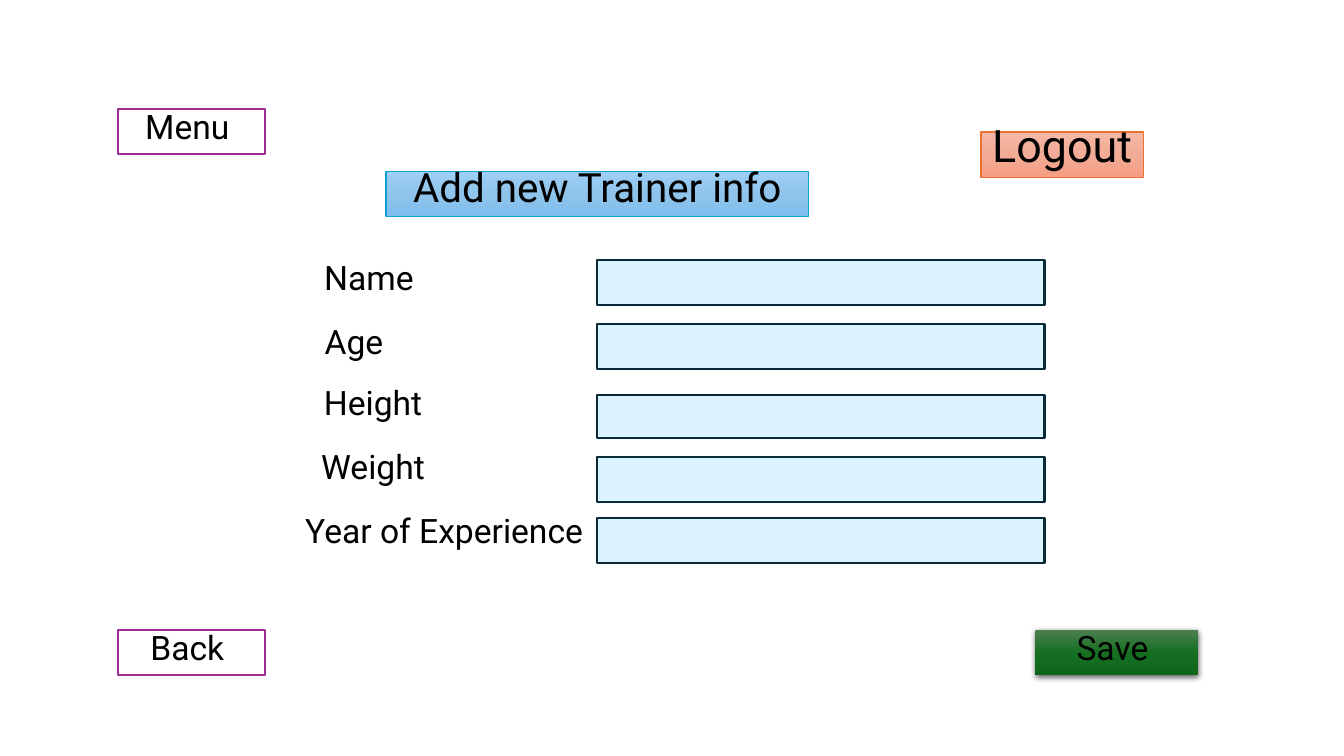
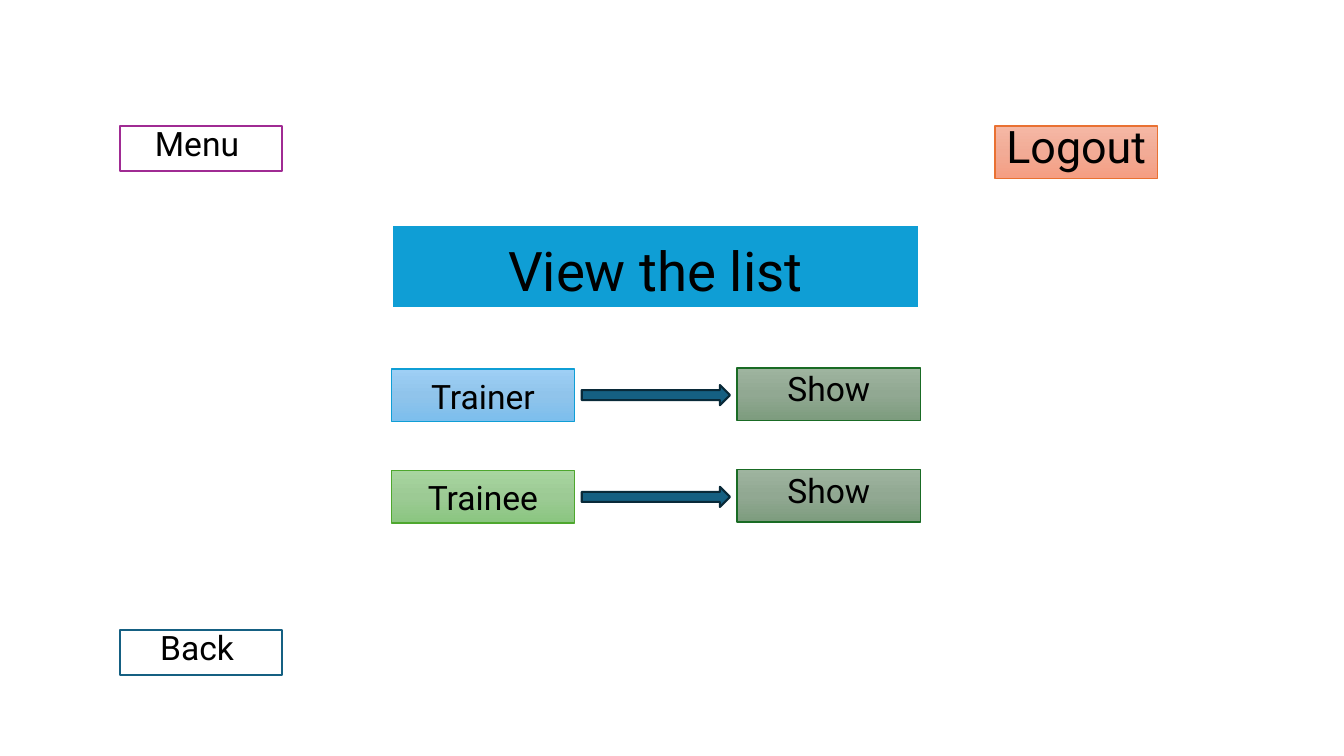
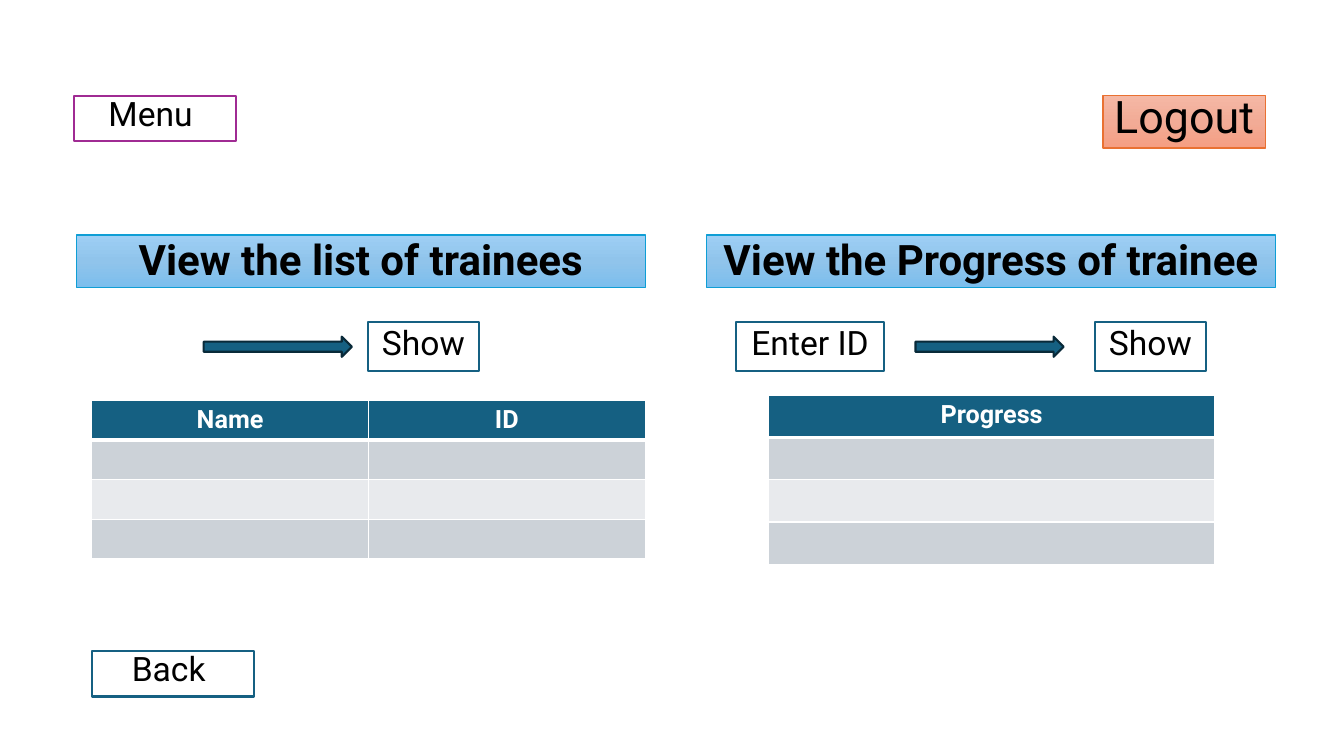
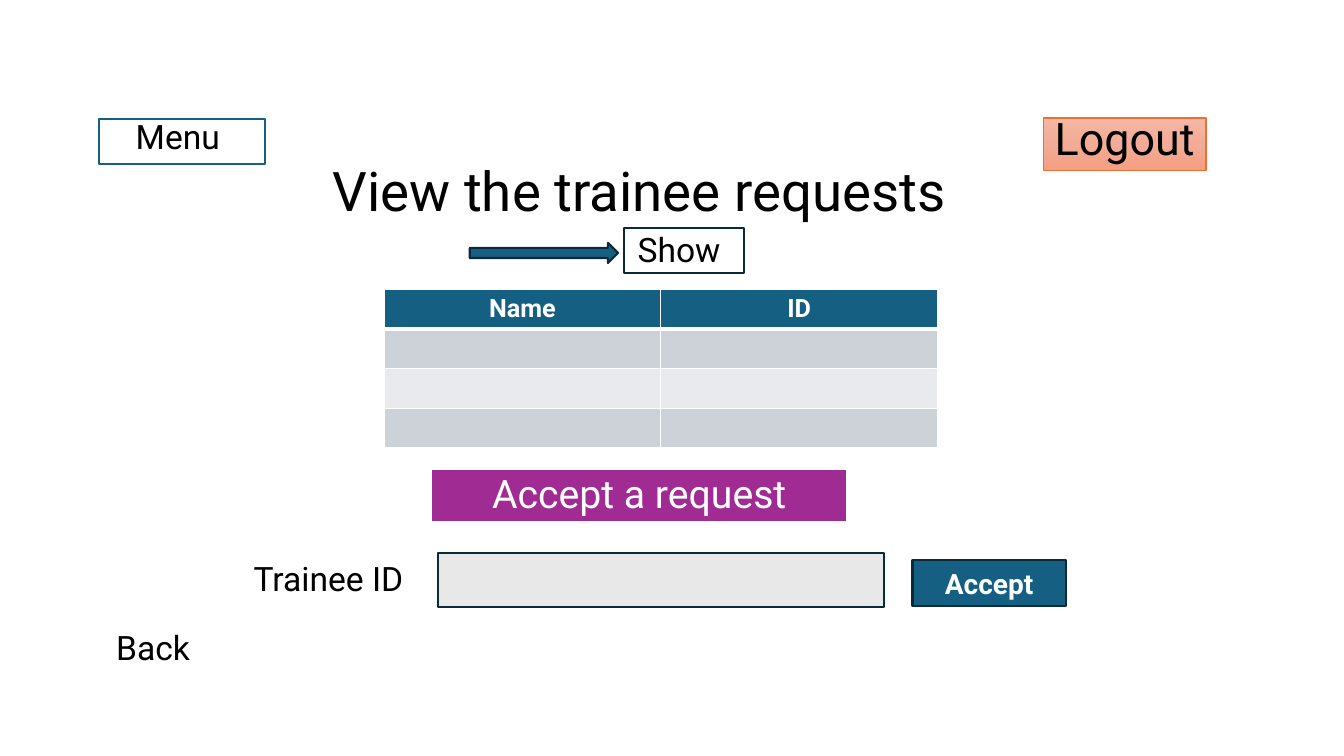
"""Build the screen mock-ups of a gym management app."""
from copy import deepcopy
from dataclasses import dataclass, replace

from lxml import etree
from pptx import Presentation
from pptx.dml.color import RGBColor
from pptx.enum import shapes as kinds, text as txt
from pptx.oxml import ns
from pptx.util import Inches, Pt

FONT = "Roboto"
BLACK = RGBColor(0x00, 0x00, 0x00)
WHITE = RGBColor(0xFF, 0xFF, 0xFF)
TEAL = RGBColor(0x15, 0x60, 0x82)
NAVY = RGBColor(0x09, 0x2A, 0x39)
PURPLE = RGBColor(0xA0, 0x2B, 0x93)
BLUE = RGBColor(0x0F, 0x9E, 0xD5)
ORANGE = RGBColor(0xE9, 0x71, 0x32)
GREEN = RGBColor(0x4E, 0xA7, 0x2E)
DARK_GREEN = RGBColor(0x19, 0x6B, 0x24)
PALE_BLUE = RGBColor(0xCA, 0xEE, 0xFB)
PALE_GREY = RGBColor(0xE8, 0xE8, 0xE8)
BAND_DARK = RGBColor(0xCC, 0xD2, 0xD8)
BAND_LIGHT = RGBColor(0xE8, 0xEA, 0xED)
BLUE_FADE = (RGBColor(0x9E, 0xCF, 0xF5), RGBColor(0x90, 0xC4, 0xEB), RGBColor(0x7C, 0xBE, 0xED))
ORANGE_FADE = (RGBColor(0xF5, 0xB8, 0xA5), RGBColor(0xF2, 0xAB, 0x96), RGBColor(0xF5, 0x9E, 0x82))
GREEN_FADE = (RGBColor(0xA8, 0xD5, 0xA0), RGBColor(0x9C, 0xCA, 0x94), RGBColor(0x8A, 0xC6, 0x80))
GREY_FADE = (RGBColor(0x9E, 0xB4, 0x9F), RGBColor(0x91, 0xA8, 0x92), RGBColor(0x7D, 0x9C, 0x7E))
SAVE_FADE = (RGBColor(0x4D, 0x7E, 0x50), RGBColor(0x15, 0x6F, 0x21), RGBColor(0x0F, 0x66, 0x1B))

TOP, MIDDLE, BOTTOM = txt.MSO_ANCHOR.TOP, txt.MSO_ANCHOR.MIDDLE, txt.MSO_ANCHOR.BOTTOM


@dataclass(frozen=True)
class Look:
    """Fill, outline and text style of a box."""
    fill: object = None
    line: object = None
    weight: float = 1.5
    size: float = 24
    color: RGBColor = BLACK
    bold: bool = False
    spacing: float = 0.8
    anchor: object = TOP


LABEL = Look()
PURPLE_BUTTON = Look(WHITE, PURPLE)
TEAL_BUTTON = Look(WHITE, TEAL)
SHOW_BUTTON = replace(TEAL_BUTTON, spacing=0.9)
GREY_BUTTON = Look(GREY_FADE, DARK_GREEN, 1, spacing=0.9)
LOGOUT = Look(ORANGE_FADE, ORANGE, 1, 32, spacing=0.9, anchor=BOTTOM)
HEADING = Look(BLUE_FADE, BLUE, 1, 28.8, spacing=0.9, anchor=BOTTOM)
BOLD_HEADING = replace(HEADING, size=30, bold=True, spacing=0.7)
TRAINER = replace(HEADING, size=24)
TRAINEE = replace(TRAINER, fill=GREEN_FADE, line=GREEN)
LIST_BANNER = Look(BLUE, WHITE, 2, 39, spacing=0.9, anchor=BOTTOM)
PLAIN_TITLE = replace(LIST_BANNER, fill=None, line=None)
ACCEPT_BANNER = replace(LIST_BANNER, fill=PURPLE, size=28, color=WHITE)
ACCEPT_BUTTON = Look(TEAL, NAVY, 1.5, 20, WHITE, True, 1, MIDDLE)
ARROW = Look(TEAL, NAVY)


def add_child(parent, tag, **attributes):
    """Append a DrawingML element to a parent."""
    values = {name: str(value) for name, value in attributes.items()}
    return etree.SubElement(parent, ns.qn(tag), values)


def paint_fade(shape, colors):
    """Fill a shape with a three-colour gradient from top to bottom."""
    shape.fill.gradient()
    shape.fill.gradient_angle = 270
    stop_list = shape.element.spPr.find(".//" + ns.qn("a:gsLst"))
    stop_list.insert(1, deepcopy(stop_list[0]))
    for stop, color, position in zip(shape.fill.gradient_stops, colors, (0, 0.5, 1)):
        stop.color.rgb = color
        stop.position = position


def paint(shape, look):
    """Apply the fill and outline of a look."""
    if look.fill is None:
        shape.fill.background()
    elif isinstance(look.fill, RGBColor):
        shape.fill.solid()
        shape.fill.fore_color.rgb = look.fill
    else:
        paint_fade(shape, look.fill)
    if look.line is None:
        shape.line.fill.background()
    else:
        shape.line.color.rgb = look.line
        shape.line.width = Pt(look.weight)


def style_font(paragraph, size, color, bold):
    """Centre a paragraph and set its font."""
    paragraph.alignment = txt.PP_ALIGN.CENTER
    font = paragraph.font
    font.name, font.size, font.bold = FONT, Pt(size), bold
    font.color.rgb = color


def write(shape, words, look):
    """Put one styled paragraph into a shape."""
    frame = shape.text_frame
    frame.word_wrap = True
    frame.auto_size = txt.MSO_AUTO_SIZE.NONE
    frame.vertical_anchor = look.anchor
    frame.text = words
    paragraph = frame.paragraphs[0]
    paragraph.line_spacing = look.spacing
    style_font(paragraph, look.size, look.color, look.bold)


def add_box(slide, at, look, words="", kind=kinds.MSO_SHAPE.RECTANGLE):
    """Add a preset shape with optional text."""
    box = slide.shapes.add_shape(kind, *map(Inches, at))
    box.shadow.inherit = False
    paint(box, look)
    if words:
        write(box, words, look)
    return box


def add_label(slide, at, words):
    """Add a plain text box."""
    write(slide.shapes.add_textbox(*map(Inches, at)), words, LABEL)


def add_arrow(slide, left, top):
    """Add a block arrow pointing to a button."""
    add_box(slide, (left, top, 1.47, 0.2), ARROW, kind=kinds.MSO_SHAPE.RIGHT_ARROW)


def add_screen(deck, title, at, look):
    """Add a slide and format its title placeholder."""
    slide = deck.slides.add_slide(deck.slide_layouts[5])
    heading = slide.shapes.title
    heading.left, heading.top, heading.width, heading.height = map(Inches, at)
    paint(heading, look)
    write(heading, title, look)
    return slide


def add_navigation(slide, menu, logout, menu_look=PURPLE_BUTTON):
    """Add the menu and logout buttons."""
    add_box(slide, menu, menu_look, "Menu ")
    add_box(slide, logout, LOGOUT, "Logout")


def border_cell(cell, top, bottom):
    """Draw white borders around a table cell."""
    properties = cell._tc.get_or_add_tcPr()
    for side, width in (("L", 1), ("R", 1), ("T", top), ("B", bottom)):
        line = add_child(properties, f"a:ln{side}", w=Pt(width))
        add_child(add_child(line, "a:solidFill"), "a:srgbClr", val=WHITE)


def add_grid(slide, left, top, width, row_height, headers):
    """Add a table with a header row and three empty banded rows."""
    fills = (TEAL, BAND_DARK, BAND_LIGHT, BAND_DARK)
    frame = slide.shapes.add_table(len(fills), len(headers), Inches(left), Inches(top),
                                   Inches(width), Inches(row_height * len(fills)))
    table = frame.table
    table.first_row = table.horz_banding = False
    for index, fill in enumerate(fills):
        for column, header in enumerate(headers):
            cell = table.cell(index, column)
            border_cell(cell, 3 if index == 1 else 1, 3 if index == 0 else 1)
            cell.fill.solid()
            cell.fill.fore_color.rgb = fill
            if index == 0:
                cell.text = header
            style_font(cell.text_frame.paragraphs[0], 18, WHITE, index == 0)


def add_field(slide, top, height):
    """Add a translucent input field."""
    field = add_box(slide, (5.92, top, 4.44, height), Look(PALE_BLUE, NAVY))
    color = field.element.spPr.find(ns.qn("a:solidFill"))[0]
    add_child(color, "a:alpha", val=67000)


def add_save_button(slide):
    """Add the save button with its soft shadow."""
    button = add_box(slide, (10.27, 6.25, 1.61, 0.45), Look(SAVE_FADE), "Save ")
    effects = button.element.spPr.find(ns.qn("a:effectLst"))
    shadow = add_child(effects, "a:outerShdw", blurRad=Pt(4.5), dist=Pt(1.5),
                       dir=5400000, algn="ctr", rotWithShape=0)
    color = add_child(shadow, "a:srgbClr", val=BLACK)
    add_child(color, "a:alpha", val=63000)


def build_trainer_form(deck):
    """Build the form for a new trainer."""
    slide = add_screen(deck, "Add new Trainer info", (3.83, 1.7, 4.19, 0.45), HEADING)
    add_navigation(slide, (1.17, 1.08, 1.46, 0.45), (9.73, 1.31, 1.61, 0.45))
    add_box(slide, (1.17, 6.25, 1.46, 0.45), PURPLE_BUTTON, "Back ")
    add_save_button(slide)
    rows = (
        ("Name ", 2.63, 2.58, 2.14, 2.58, 0.45),
        ("Age", 2.44, 3.21, 2.14, 3.21, 0.45),
        ("Height", 2.63, 3.82, 2.14, 3.92, 0.43),
        ("Weight", 2.63, 4.45, 2.14, 4.53, 0.45),
        ("Year of Experience", 2.63, 5.09, 3.55, 5.14, 0.45),
    )
    for words, left, top, width, field_top, field_height in rows:
        add_label(slide, (left, top, width, 0.45), words)
        add_field(slide, field_top, field_height)


def build_list_choice(deck):
    """Build the choice between the trainer and trainee lists."""
    slide = add_screen(deck, "View the list", (3.88, 2.23, 5.24, 0.83), LIST_BANNER)
    add_navigation(slide, (1.19, 1.25, 1.61, 0.45), (9.87, 1.25, 1.61, 0.52))
    add_box(slide, (1.19, 6.25, 1.61, 0.45), TEAL_BUTTON, "Back ")
    for words, look, top in (("Trainer", TRAINER, 3.66), ("Trainee", TRAINEE, 4.67)):
        add_box(slide, (3.88, top, 1.82, 0.52), look, words)
        add_arrow(slide, 5.77, top + 0.16)
        add_box(slide, (7.31, top - 0.01, 1.82, 0.52), GREY_BUTTON, "Show")


def build_trainee_progress(deck):
    """Build the trainee list next to the trainee progress."""
    slide = add_screen(deck, "View the list of trainees", (0.76, 2.33, 5.64, 0.52), BOLD_HEADING)
    add_box(slide, (7.01, 2.33, 5.64, 0.52), BOLD_HEADING, "View the Progress of trainee")
    add_navigation(slide, (0.73, 0.95, 1.61, 0.45), (10.94, 0.95, 1.61, 0.52))
    add_box(slide, (0.91, 6.46, 1.61, 0.45), TEAL_BUTTON, "Back ")
    for arrow_left, button_left in ((2.02, 3.65), (9.08, 10.86)):
        add_arrow(slide, arrow_left, 3.34)
        add_box(slide, (button_left, 3.19, 1.1, 0.49), SHOW_BUTTON, "Show")
    add_box(slide, (7.3, 3.19, 1.47, 0.49), SHOW_BUTTON, "Enter ID")
    add_grid(slide, 0.91, 3.97, 5.49, 0.39, ("Name", "ID"))
    add_grid(slide, 7.62, 3.92, 4.43, 0.42, ("Progress",))


def build_trainee_requests(deck):
    """Build the list of trainee requests and the accept form."""
    slide = add_screen(deck, "View the trainee requests", (2.14, 1.48, 8.4, 0.79), PLAIN_TITLE)
    add_navigation(slide, (0.98, 1.18, 1.65, 0.45), (10.35, 1.17, 1.61, 0.52), TEAL_BUTTON)
    add_label(slide, (0.49, 6.25, 2.14, 0.45), "Back ")
    add_arrow(slide, 4.66, 2.41)
    add_box(slide, (6.19, 2.26, 1.19, 0.45), Look(line=NAVY))
    add_label(slide, (5.86, 2.3, 1.75, 0.45), "Show")
    add_grid(slide, 3.81, 2.87, 5.49, 0.39, ("Name", "ID"))
    add_box(slide, (4.27, 4.65, 4.14, 0.53), ACCEPT_BANNER, "Accept a request")
    add_label(slide, (2.23, 5.56, 2.14, 0.45), "Trainee ID ")
    add_box(slide, (4.34, 5.49, 4.43, 0.53), Look(PALE_GREY, NAVY))
    add_box(slide, (9.05, 5.56, 1.52, 0.45), ACCEPT_BUTTON, "Accept")


def main():
    """Build and save the deck."""
    deck = Presentation()
    deck.slide_width, deck.slide_height = Inches(13.33), Inches(7.5)
    build_trainer_form(deck)
    build_list_choice(deck)
    build_trainee_progress(deck)
    build_trainee_requests(deck)
    deck.save("out.pptx")


if __name__ == "__main__":
    main()
